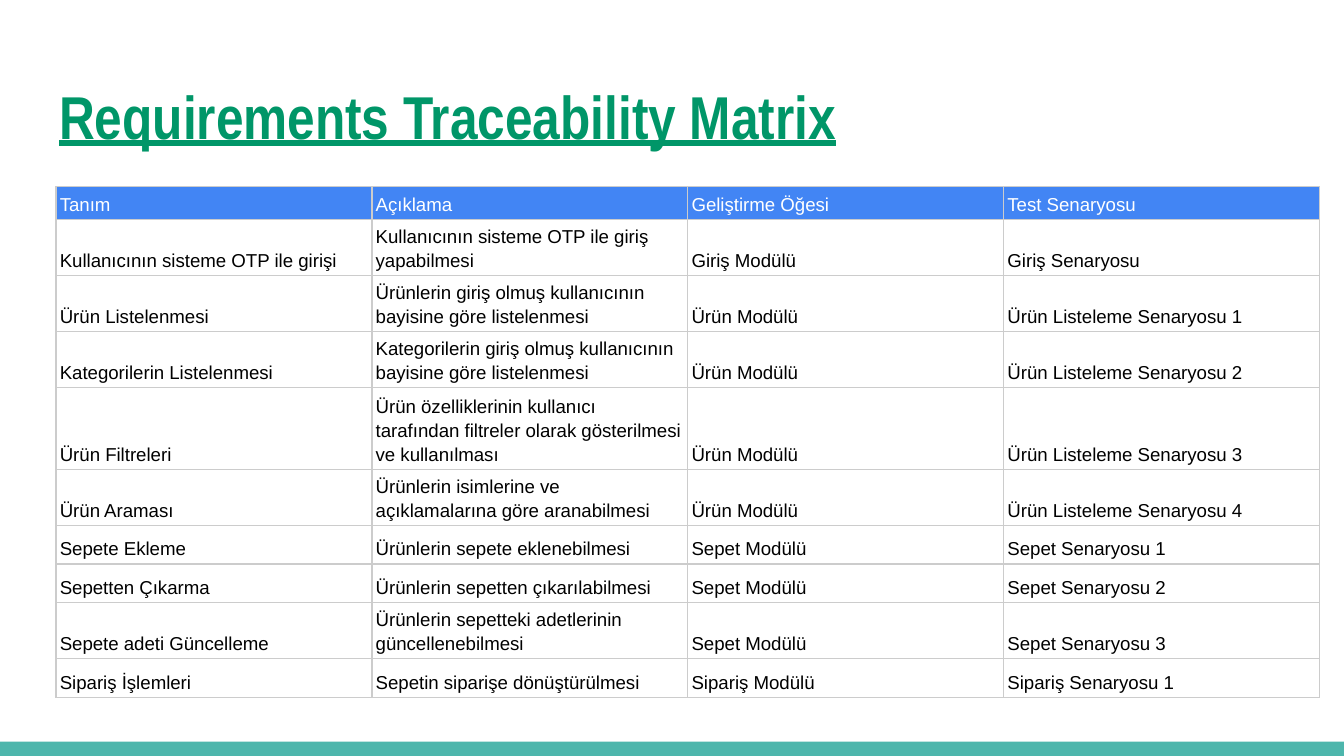
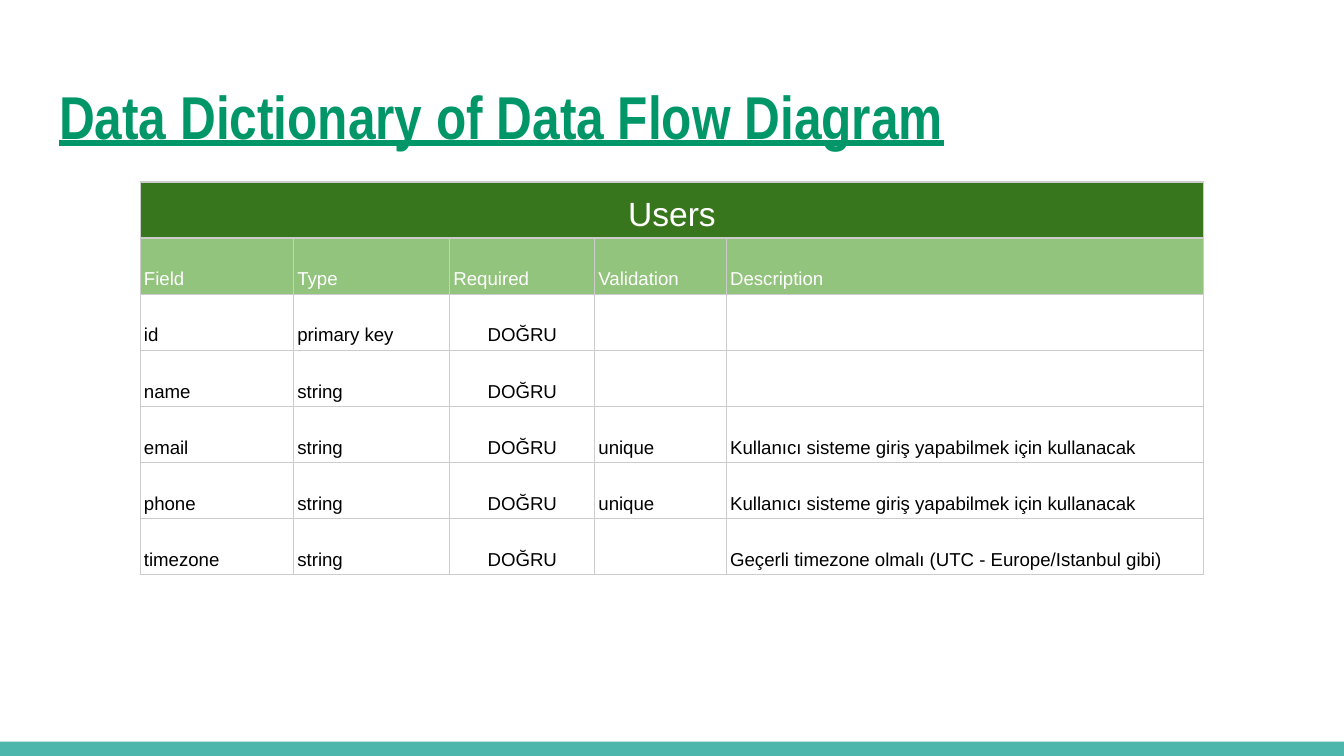
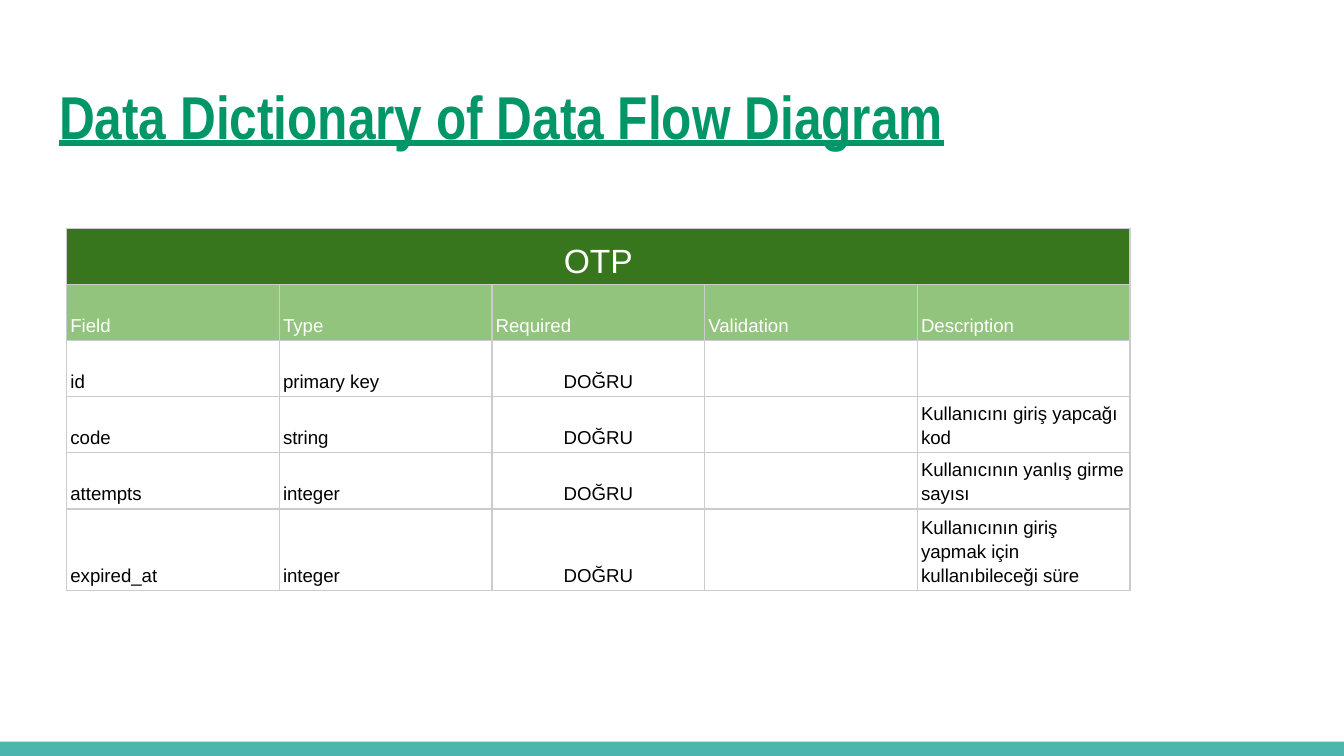
from lxml.etree import SubElement
from pptx import Presentation
from pptx.dml.color import RGBColor
from pptx.enum.shapes import MSO_SHAPE
from pptx.enum.text import MSO_ANCHOR, PP_ALIGN
from pptx.oxml.ns import qn
from pptx.util import Cm, Pt

GREEN, TEAL, BLUE = "009668", "4DB6AC", "4285F4"
DARK_GREEN, LIGHT_GREEN = "38761D", "93C47D"
WHITE, BLACK, GRAY = "FFFFFF", "000000", "CCCCCC"

SLIDE_WIDTH, SLIDE_HEIGHT, BAND_HEIGHT = 25.4, 14.29, 0.27
HEADING_ROW, SHORT_ROW, TALL_ROW, TALLEST_ROW = 0.62, 0.73, 1.06, 1.51
SIDE_MARGIN, BOTTOM_MARGIN = 0.07, 0.08

FIELD_HEADER = ["Field", "Type", "Required", "Validation", "Description"]
LOGIN_USE = "Kullanıcı sisteme giriş yapabilmek için kullanacak"

SLIDES = [
    {
        "title": "Requirements Traceability Matrix",
        "left": 1.06, "top": 3.53,
        "columns": [5.97] * 4,
        "heights": [HEADING_ROW] + [TALL_ROW] * 3 + [TALLEST_ROW, TALL_ROW]
        + [SHORT_ROW] * 2 + [TALL_ROW, SHORT_ROW],
        "header": ["Tanım", "Açıklama", "Geliştirme Öğesi", "Test Senaryosu"],
        "header_fill": BLUE,
        "rows": [
            ["Kullanıcının sisteme OTP ile girişi",
             "Kullanıcının sisteme OTP ile giriş yapabilmesi",
             "Giriş Modülü", "Giriş Senaryosu"],
            ["Ürün Listelenmesi",
             "Ürünlerin giriş olmuş kullanıcının bayisine göre listelenmesi",
             "Ürün Modülü", "Ürün Listeleme Senaryosu 1"],
            ["Kategorilerin Listelenmesi",
             "Kategorilerin giriş olmuş kullanıcının bayisine göre listelenmesi",
             "Ürün Modülü", "Ürün Listeleme Senaryosu 2"],
            ["Ürün Filtreleri",
             "Ürün özelliklerinin kullanıcı tarafından filtreler olarak "
             "gösterilmesi ve kullanılması",
             "Ürün Modülü", "Ürün Listeleme Senaryosu 3"],
            ["Ürün Araması",
             "Ürünlerin isimlerine ve açıklamalarına göre aranabilmesi",
             "Ürün Modülü", "Ürün Listeleme Senaryosu 4"],
            ["Sepete Ekleme", "Ürünlerin sepete eklenebilmesi",
             "Sepet Modülü", "Sepet Senaryosu 1"],
            ["Sepetten Çıkarma", "Ürünlerin sepetten çıkarılabilmesi",
             "Sepet Modülü", "Sepet Senaryosu 2"],
            ["Sepete adeti Güncelleme",
             "Ürünlerin sepetteki adetlerinin güncellenebilmesi",
             "Sepet Modülü", "Sepet Senaryosu 3"],
            ["Sipariş İşlemleri", "Sepetin siparişe dönüştürülmesi",
             "Sipariş Modülü", "Sipariş Senaryosu 1"],
        ],
    },
    {
        "title": "Data Dictionary of Data Flow Diagram",
        "left": 2.65, "top": 3.44,
        "columns": [2.9, 2.95, 2.74, 2.49, 9.02],
        "heights": [TALL_ROW] * 7,
        "entity": "Users",
        "header": FIELD_HEADER,
        "header_fill": LIGHT_GREEN,
        "rows": [
            ["id", "primary key", "DOĞRU", "", ""],
            ["name", "string", "DOĞRU", "", ""],
            ["email", "string", "DOĞRU", "unique", LOGIN_USE],
            ["phone", "string", "DOĞRU", "unique", LOGIN_USE],
            ["timezone", "string", "DOĞRU", "",
             "Geçerli timezone olmalı (UTC - Europe/Istanbul gibi)"],
        ],
    },
    {
        "title": "Data Dictionary of Data Flow Diagram",
        "left": 1.26, "top": 4.32,
        "columns": [4.02] * 5,
        "heights": [TALL_ROW] * 5 + [TALLEST_ROW],
        "entity": "OTP",
        "header": FIELD_HEADER,
        "header_fill": LIGHT_GREEN,
        "rows": [
            ["id", "primary key", "DOĞRU", "", ""],
            ["code", "string", "DOĞRU", "", "Kullanıcını giriş yapcağı kod"],
            ["attempts", "integer", "DOĞRU", "", "Kullanıcının yanlış girme sayısı"],
            ["expired_at", "integer", "DOĞRU", "",
             "Kullanıcının giriş yapmak için kullanıbileceği süre"],
        ],
    },
]


def color(value):
    return RGBColor.from_string(value)


def style_font(font, name, size, value):
    font.name = name
    font.size = Pt(size)
    font.color.rgb = color(value)


def add_band(page):
    band = page.shapes.add_shape(
        MSO_SHAPE.RECTANGLE, 0, Cm(SLIDE_HEIGHT - BAND_HEIGHT),
        Cm(SLIDE_WIDTH), Cm(BAND_HEIGHT))
    band.shadow.inherit = False
    band.fill.solid()
    band.fill.fore_color.rgb = color(TEAL)
    band.line.fill.background()


def add_title(page, text):
    box = page.shapes.add_textbox(Cm(0.87), Cm(1.25), Cm(23.67), Cm(1.95))
    frame = box.text_frame
    frame.word_wrap = True
    frame.margin_left = frame.margin_right = Cm(0.25)
    frame.margin_top = frame.margin_bottom = Cm(0.25)
    paragraph = frame.paragraphs[0]
    paragraph.text = text
    style_font(paragraph.font, "Arial Narrow", 32.4, GREEN)
    paragraph.font.bold = True
    paragraph.font.underline = True


def add_borders(cell):
    properties = cell._tc.get_or_add_tcPr()
    for side in ("a:lnL", "a:lnR", "a:lnT", "a:lnB"):
        line = SubElement(properties, qn(side), w=str(Pt(0.75)))
        fill = SubElement(line, qn("a:solidFill"))
        SubElement(fill, qn("a:srgbClr"), val=GRAY)


def fill_cell(cell, text, size, text_color, fill, centered):
    add_borders(cell)
    if fill:
        cell.fill.solid()
        cell.fill.fore_color.rgb = color(fill)
    else:
        cell.fill.background()
    cell.vertical_anchor = MSO_ANCHOR.BOTTOM
    cell.margin_left = cell.margin_right = Cm(SIDE_MARGIN)
    cell.margin_top, cell.margin_bottom = 0, Cm(BOTTOM_MARGIN)
    paragraph = cell.text_frame.paragraphs[0]
    paragraph.text = text
    paragraph.line_spacing = 1.15
    paragraph.alignment = PP_ALIGN.CENTER if centered else PP_ALIGN.LEFT
    style_font(paragraph.font, "Arial", size, text_color)


def add_grid(page, content):
    columns, heights = content["columns"], content["heights"]
    table = page.shapes.add_table(
        len(heights), len(columns), Cm(content["left"]), Cm(content["top"]),
        Cm(sum(columns)), Cm(sum(heights))).table
    table.first_row = table.horz_banding = False
    for column, width in zip(table.columns, columns):
        column.width = Cm(width)
    for row, height in zip(table.rows, heights):
        row.height = Cm(height)

    lines = [(content["header"], 10, WHITE, content["header_fill"])]
    lines += [(row, 10, BLACK, None) for row in content["rows"]]
    if "entity" in content:
        names = [content["entity"]] + [""] * (len(columns) - 1)
        lines.insert(0, (names, 18, WHITE, DARK_GREEN))
        table.cell(0, 0).merge(table.cell(0, len(columns) - 1))
    for row, (texts, size, text_color, fill) in zip(table.rows, lines):
        for cell, text in zip(row.cells, texts):
            centered = size == 18 or text == "DOĞRU"
            fill_cell(cell, text, size, text_color, fill, centered)


def main():
    deck = Presentation()
    deck.slide_width, deck.slide_height = Cm(SLIDE_WIDTH), Cm(SLIDE_HEIGHT)
    for content in SLIDES:
        page = deck.slides.add_slide(deck.slide_layouts[6])
        add_band(page)
        add_title(page, content["title"])
        add_grid(page, content)
    deck.save("out.pptx")


if __name__ == "__main__":
    main()
